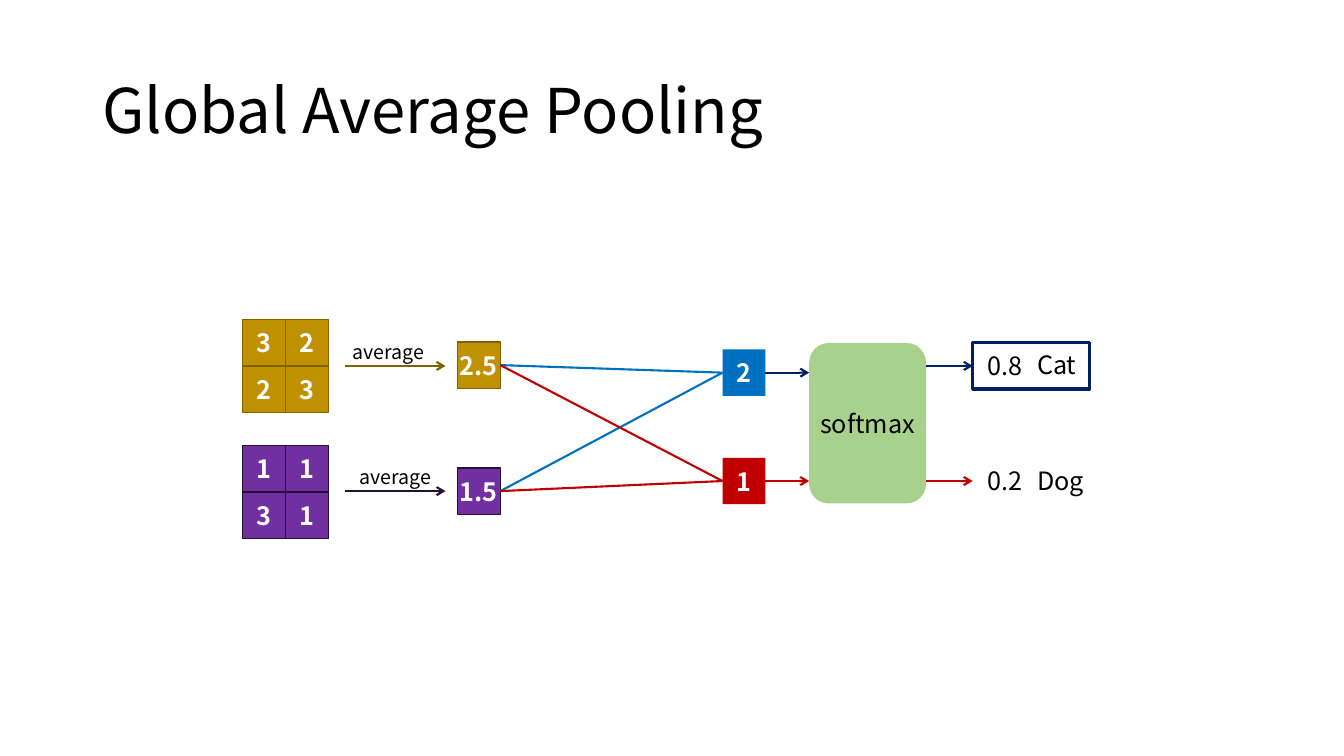
from dataclasses import dataclass
from itertools import product
from typing import Optional

from lxml.etree import SubElement
from pptx import Presentation
from pptx.dml.color import RGBColor
from pptx.enum.shapes import MSO_CONNECTOR, MSO_SHAPE
from pptx.enum.text import MSO_ANCHOR, PP_ALIGN
from pptx.oxml.ns import qn
from pptx.util import Pt

FONT = "Noto Sans CJK KR"
BLACK, WHITE = "000000", "FFFFFF"
GOLD, BROWN = "BF9000", "806000"
PURPLE, PLUM = "7030A0", "261036"
BLUE, RED, NAVY, GREEN = "0070C0", "C00000", "002060", "A9D18E"
CELL_W, CELL_H = 30.7, 33.2
GRID_X, MEAN_X, CLASS_X, SOFT_X, OUT_X = 173.3, 326.7, 516.1, 578, 694.8
GRID_Y, MEAN_Y, PITCH = 228.2, 244.2, 90
SOFT_W = 83.5


@dataclass
class Box:
    x: float
    y: float
    w: float = CELL_W
    h: float = CELL_H
    text: str = ""
    fill: Optional[str] = None
    line: Optional[str] = None
    width: float = 1
    ink: str = WHITE
    bold: bool = True
    kind: MSO_SHAPE = MSO_SHAPE.RECTANGLE


@dataclass
class Label:
    x: float
    y: float
    w: float
    text: str
    size: float = 18
    align: PP_ALIGN = PP_ALIGN.LEFT


@dataclass
class Map:
    cells: str
    mean: str
    fill: str
    line: str
    arrow_y: float
    label_x: float
    label_y: float


@dataclass
class Output:
    score: str
    fill: str
    arrow: str
    y: float
    out_y: float
    prob: str
    name: str
    text_y: float
    name_y: float


def color(code: str) -> RGBColor:
    return RGBColor.from_string(code)


def add_run(para, text: str, size: float, ink: str = BLACK, bold: bool = False) -> None:
    run = para.add_run()
    run.text = text
    run.font.name, run.font.size, run.font.bold = FONT, Pt(size), bold
    run.font.color.rgb = color(ink)


def draw_box(shapes, box: Box):
    shape = shapes.add_shape(box.kind, Pt(box.x), Pt(box.y), Pt(box.w), Pt(box.h))
    shape.shadow.inherit = False
    if box.fill:
        shape.fill.solid()
        shape.fill.fore_color.rgb = color(box.fill)
    else:
        shape.fill.background()
    if box.line:
        shape.line.color.rgb = color(box.line)
        shape.line.width = Pt(box.width)
    else:
        shape.line.fill.background()
    if box.text:
        frame = shape.text_frame
        frame.word_wrap = False
        frame.vertical_anchor = MSO_ANCHOR.MIDDLE
        para = frame.paragraphs[0]
        para.alignment = PP_ALIGN.CENTER
        add_run(para, box.text, 18, box.ink, box.bold)
    return shape


def draw_label(shapes, label: Label) -> None:
    height = 29 if label.size == 18 else 24.2
    frame = shapes.add_textbox(Pt(label.x), Pt(label.y), Pt(label.w), Pt(height)).text_frame
    frame.word_wrap = True
    para = frame.paragraphs[0]
    para.alignment = label.align
    add_run(para, label.text, label.size)


def draw_line(shapes, x1: float, y1: float, x2: float, y2: float, ink: str,
              arrow: bool = True, start=None, end=None) -> None:
    """Draw a line, joined to the right of start and the left of end if given."""
    line = shapes.add_connector(MSO_CONNECTOR.STRAIGHT, Pt(x1), Pt(y1), Pt(x2), Pt(y2))
    if start is not None:
        line.begin_connect(start, 3)
    if end is not None:
        line.end_connect(end, 1)
    line.line.color.rgb = color(ink)
    line.line.width = Pt(1.5)
    if arrow:
        SubElement(line.line._get_or_add_ln(), qn("a:tailEnd"), type="arrow")
    SubElement(line._element.spPr, qn("a:effectLst"))


def draw_title(shapes, text: str) -> None:
    title = shapes.title
    title.left, title.top, title.width, title.height = Pt(66), Pt(28.8), Pt(828), Pt(104.4)
    frame = title.text_frame
    frame.vertical_anchor = MSO_ANCHOR.MIDDLE
    para = frame.paragraphs[0]
    para.alignment = PP_ALIGN.LEFT
    para.line_spacing = 0.9
    add_run(para, text, 44)


def draw_map(shapes, row: int, item: Map):
    """Draw a feature map with its averaging arrow; return the average's box."""
    shift = row * PITCH
    for (i, j), text in zip(product(range(2), repeat=2), item.cells):
        draw_box(shapes, Box(GRID_X + j * CELL_W, GRID_Y + shift + i * CELL_H,
                             text=text, fill=item.fill, line=item.line))
    draw_line(shapes, 246.2, item.arrow_y, 318.2, item.arrow_y, item.line)
    draw_label(shapes, Label(item.label_x, item.label_y, 80, "average", 14, PP_ALIGN.CENTER))
    return draw_box(shapes, Box(MEAN_X, MEAN_Y + shift, text=item.mean,
                                fill=item.fill, line=item.line))


def main() -> None:
    maps = [
        Map("3223", "2.5", GOLD, BROWN, 261.4, 237.6, 239),
        Map("1131", "1.5", PURPLE, PLUM, 350.8, 242.2, 328.4),
    ]
    outs = [
        Output("2", BLUE, NAVY, 249.6, 261.4, "0.8", "Cat", 247, 246.2),
        Output("1", RED, RED, 327, 343.6, "0.2", "Dog", 328.6, 328.6),
    ]
    deck = Presentation()
    deck.slide_width, deck.slide_height = Pt(960), Pt(540)
    shapes = deck.slides.add_slide(deck.slide_layouts[5]).shapes
    draw_title(shapes, "Global Average Pooling")

    means = [draw_map(shapes, row, item) for row, item in enumerate(maps)]
    draw_box(shapes, Box(SOFT_X, 245, SOFT_W, 114.6, "softmax", GREEN,
                         ink=BLACK, bold=False, kind=MSO_SHAPE.ROUNDED_RECTANGLE))
    frame = draw_box(shapes, Box(OUT_X, 244.8, SOFT_W, line=NAVY, width=2.5))

    for out, goal in zip(outs, (frame, None)):
        score = draw_box(shapes, Box(CLASS_X, out.y, text=out.score, fill=out.fill))
        mid = out.y + CELL_H / 2
        for mean in means:
            draw_line(shapes, MEAN_X + CELL_W, mid, CLASS_X, mid, out.fill,
                      arrow=False, start=mean, end=score)
        draw_line(shapes, CLASS_X + CELL_W, mid, SOFT_X, mid, out.arrow, start=score)
        draw_line(shapes, SOFT_X + SOFT_W, out.out_y, OUT_X, out.out_y, out.arrow, end=goal)
        draw_label(shapes, Label(698.4, out.text_y, 55.4, out.prob))
        draw_label(shapes, Label(733.7, out.name_y, 52.6, out.name))
    deck.save("out.pptx")


if __name__ == "__main__":
    main()
